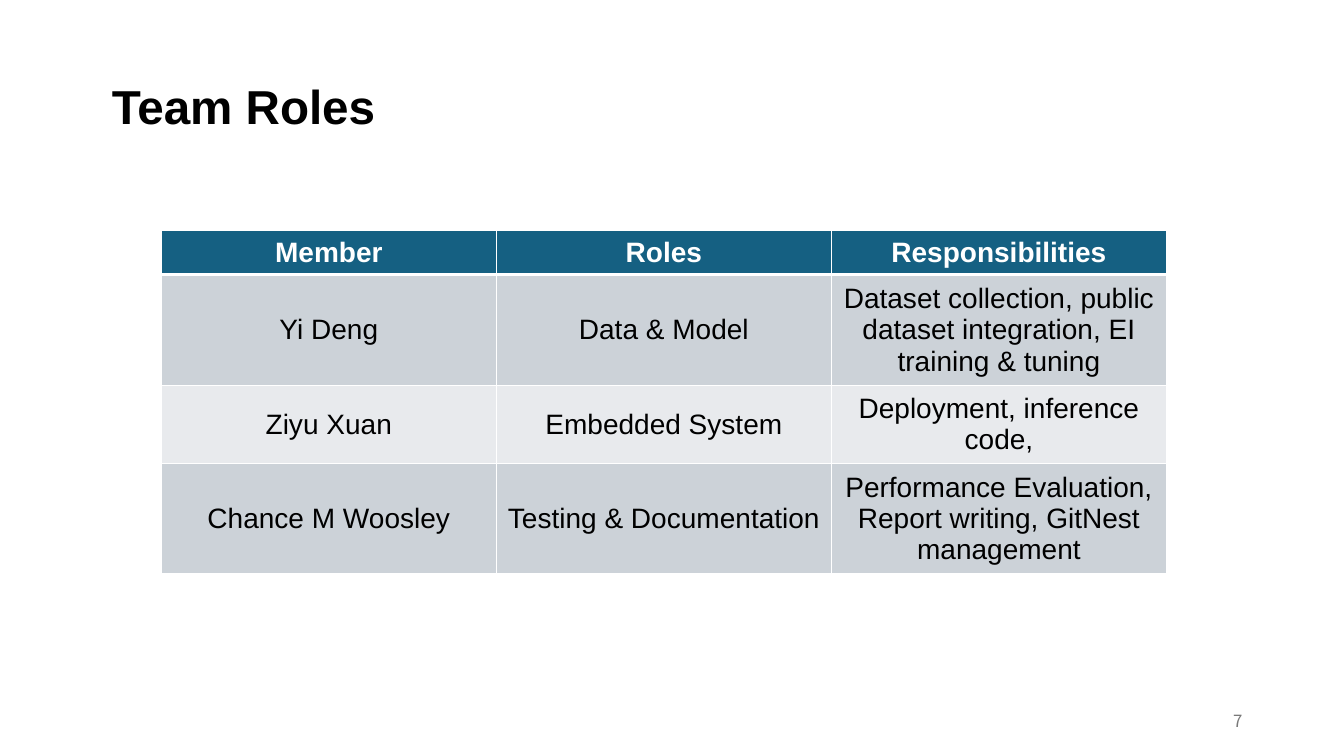
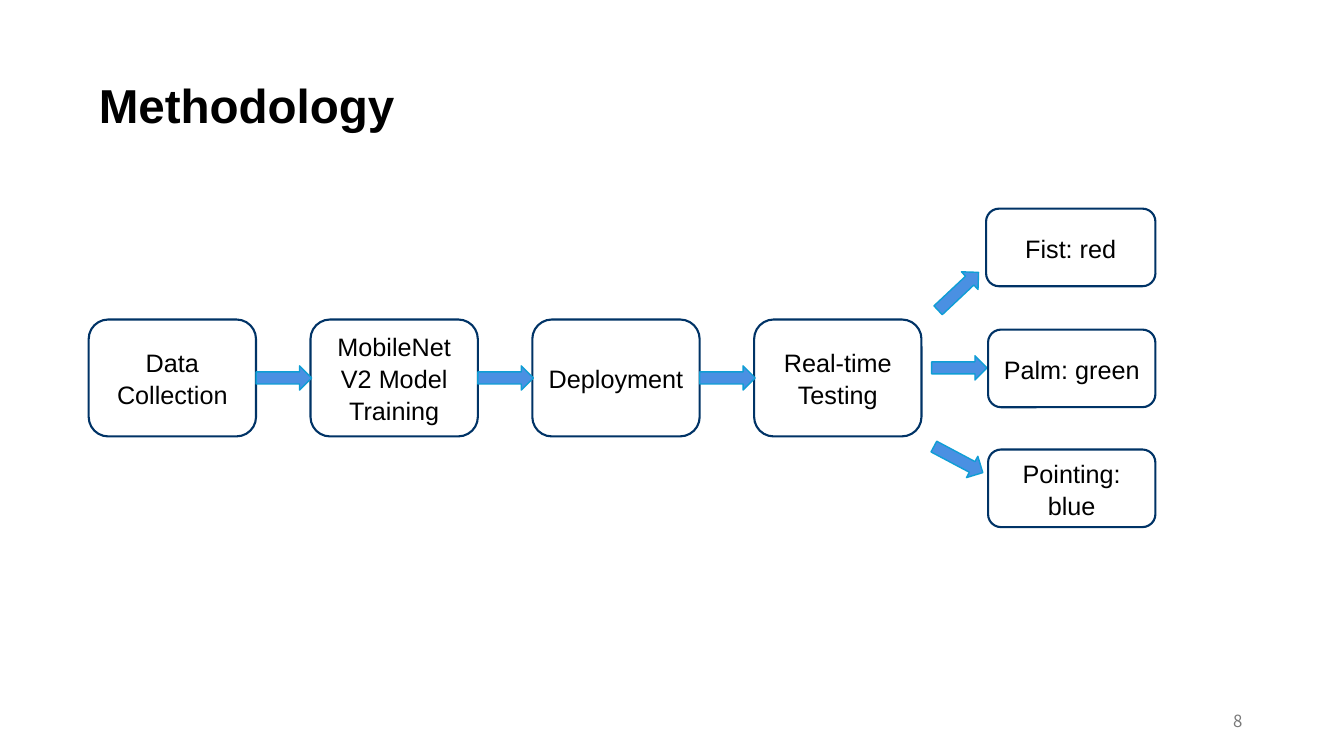
from dataclasses import dataclass

from lxml import etree
from pptx import Presentation
from pptx import util as u
from pptx.dml.color import RGBColor
from pptx.enum import shapes, text
from pptx.oxml.ns import qn

PX = 9144  # EMU per px, 100 px to the inch


def px(length: int) -> int:
    return length * PX


# Theme
@dataclass(frozen=True)
class Theme:
    font: str = "Arial"
    number_font: str = "Noto Sans CJK SC"
    black: str = "000000"
    white: str = "FFFFFF"
    grey: str = "797979"
    header: str = "156082"
    bands: tuple[str, str] = ("CCD2D8", "E8EAED")
    box_line: str = "003366"
    arrow_fill: str = "4A90E2"
    arrow_line: str = "0F9ED5"
    title_size: int = 34
    table_size: int = 20
    box_size: int = 18
    number_size: int = 12


THEME = Theme()


# Repeated elements
@dataclass(frozen=True)
class Box:
    label: str
    left: int
    top: int
    width: int
    height: int


@dataclass(frozen=True)
class Arrow:
    left: int
    top: int
    rotation: float = 0


# Shared helpers
def add_text(frame, words: str, size: int, color: str = THEME.black,
             bold: bool = False, align=text.PP_ALIGN.CENTER, font: str = THEME.font):
    paragraph = frame.paragraphs[0]
    paragraph.alignment = align
    run = paragraph.add_run()
    run.text = words
    run.font.name = font
    run.font.size = u.Pt(size)
    run.font.bold = bold
    run.font.color.rgb = RGBColor.from_string(color)
    return paragraph


def add_slide(presentation, title: str, left: int, top: int, number: int):
    slide = presentation.slides.add_slide(presentation.slide_layouts[5])
    shape = slide.shapes.title
    shape.left, shape.top, shape.width, shape.height = map(px, (left, top, 494, 67))
    frame = shape.text_frame
    frame.word_wrap = True
    frame.auto_size = text.MSO_AUTO_SIZE.SHAPE_TO_FIT_TEXT
    frame.vertical_anchor = text.MSO_ANCHOR.TOP
    add_text(frame, title, THEME.title_size, bold=True, align=text.PP_ALIGN.LEFT)

    frame = slide.shapes.add_textbox(*map(px, (942, 695, 300, 40))).text_frame
    frame.word_wrap = True
    frame.vertical_anchor = text.MSO_ANCHOR.MIDDLE
    add_text(frame, str(number), THEME.number_size, THEME.grey,
             align=text.PP_ALIGN.RIGHT, font=THEME.number_font)
    return slide


def style_shape(shape, fill: str, line: str, weight: float) -> None:
    shape.shadow.inherit = False
    shape.fill.solid()
    shape.fill.fore_color.rgb = RGBColor.from_string(fill)
    shape.line.color.rgb = RGBColor.from_string(line)
    shape.line.width = u.Pt(weight)


def add_box(slide, box: Box) -> None:
    shape = slide.shapes.add_shape(
        shapes.MSO_SHAPE.ROUNDED_RECTANGLE,
        *map(px, (box.left, box.top, box.width, box.height)))
    style_shape(shape, THEME.white, THEME.box_line, 1.5)
    shape.text_frame.word_wrap = True
    shape.text_frame.vertical_anchor = text.MSO_ANCHOR.MIDDLE
    paragraph = add_text(shape.text_frame, box.label, THEME.box_size)
    paragraph.line_spacing = 1.06


def add_arrow(slide, arrow: Arrow) -> None:
    shape = slide.shapes.add_shape(
        shapes.MSO_SHAPE.RIGHT_ARROW, *map(px, (arrow.left, arrow.top, 55, 24)))
    style_shape(shape, THEME.arrow_fill, THEME.arrow_line, 1)
    shape.rotation = arrow.rotation


def set_borders(cell, weights: dict[str, int]) -> None:
    properties = cell._tc.get_or_add_tcPr()
    for index, (side, weight) in enumerate(weights.items()):
        line = etree.Element(qn(f"a:{side}"), w=str(u.Pt(weight)))
        fill = etree.SubElement(line, qn("a:solidFill"))
        etree.SubElement(fill, qn("a:srgbClr"), val=THEME.white)
        properties.insert(index, line)


# Slide: team roles
ROLES = (
    ("Member", "Roles", "Responsibilities"),
    ("Yi Deng", "Data & Model",
     "Dataset collection, public dataset integration, EI training & tuning"),
    ("Ziyu Xuan", "Embedded System", "Deployment, inference code,"),
    ("Chance M Woosley", "Testing & Documentation",
     "Performance Evaluation, Report writing, GitNest management"),
)
ROW_HEIGHTS = (43, 110, 77, 110)


def build_roles(presentation) -> None:
    slide = add_slide(presentation, "Team Roles", 101, 71, 7)
    table = slide.shapes.add_table(
        len(ROLES), len(ROLES[0]),
        *map(px, (160, 229, 997, sum(ROW_HEIGHTS)))).table
    for row_index, (labels, height) in enumerate(zip(ROLES, ROW_HEIGHTS)):
        table.rows[row_index].height = px(height)
        is_header = row_index == 0
        fill = THEME.header if is_header else THEME.bands[(row_index - 1) % 2]
        for column_index, label in enumerate(labels):
            cell = table.cell(row_index, column_index)
            cell.vertical_anchor = text.MSO_ANCHOR.MIDDLE
            cell.fill.solid()
            cell.fill.fore_color.rgb = RGBColor.from_string(fill)
            set_borders(cell, {"lnL": 1, "lnR": 1,
                               "lnT": 3 if row_index == 1 else 1,
                               "lnB": 3 if is_header else 1})
            add_text(cell.text_frame, label, THEME.table_size,
                     THEME.white if is_header else THEME.black, bold=is_header)


# Slide: methodology
STEPS = ("Data Collection", "MobileNet V2 Model Training", "Deployment",
         "Real-time Testing")
OUTCOMES = ("Fist: red", "Palm: green", "Pointing: blue")
STEP_LEFT, STEP_PITCH, BOX_WIDTH = 88, 220, 166
BRANCHES = (Arrow(923, 277, 316.8), Arrow(924, 353), Arrow(923, 444, 28))


def build_methodology(presentation) -> None:
    slide = add_slide(presentation, "Methodology", 88, 70, 8)
    lefts = [STEP_LEFT + index * STEP_PITCH for index in range(len(STEPS))]
    for label, left in zip(STEPS, lefts):
        add_box(slide, Box(label, left, 317, BOX_WIDTH, 116))
    links = [Arrow(left + BOX_WIDTH, 363) for left in lefts[:-1]]
    for arrow in (*links, *BRANCHES):
        add_arrow(slide, arrow)
    for index, label in enumerate(OUTCOMES):
        left = 978 if index == 0 else 980
        add_box(slide, Box(label, left, 207 + round(index * 119.5),
                           1146 - left, 77))


def main() -> None:
    presentation = Presentation()
    presentation.slide_width, presentation.slide_height = px(1333), px(750)
    build_roles(presentation)
    build_methodology(presentation)
    presentation.save("out.pptx")


if __name__ == "__main__":
    main()
